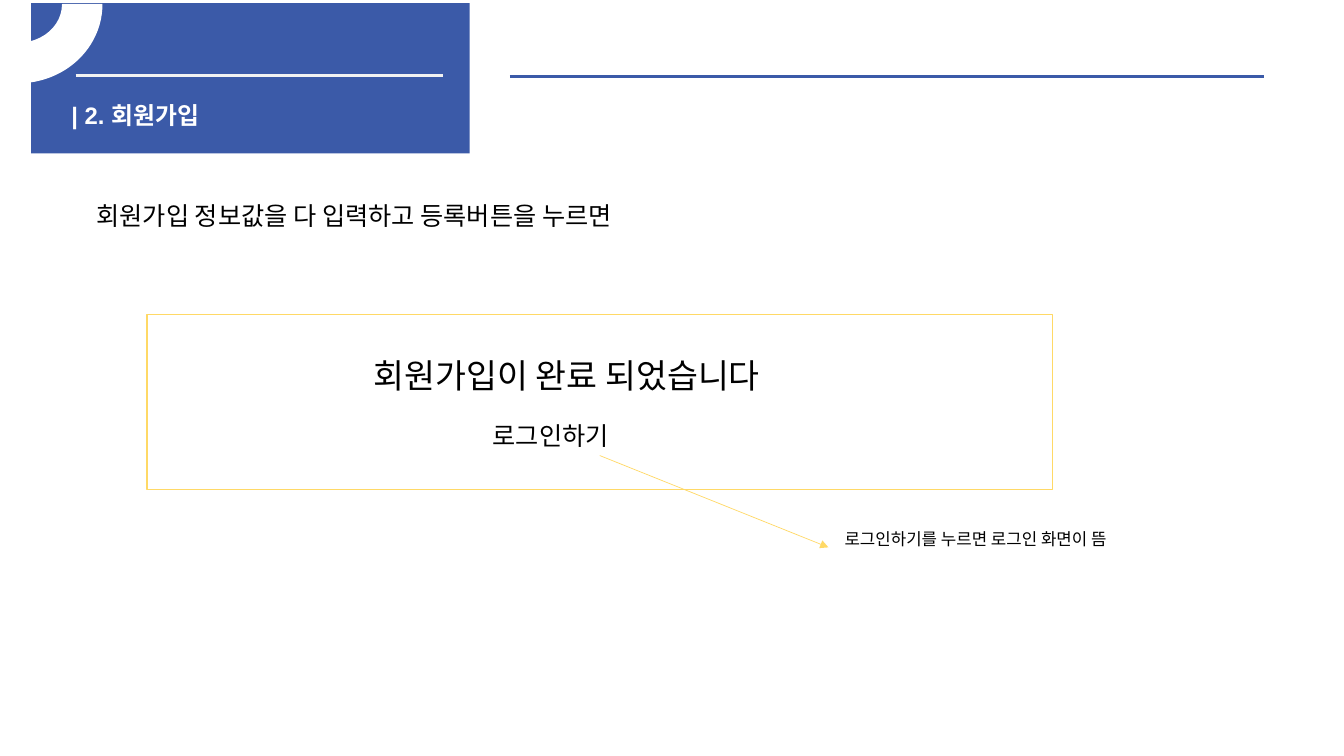
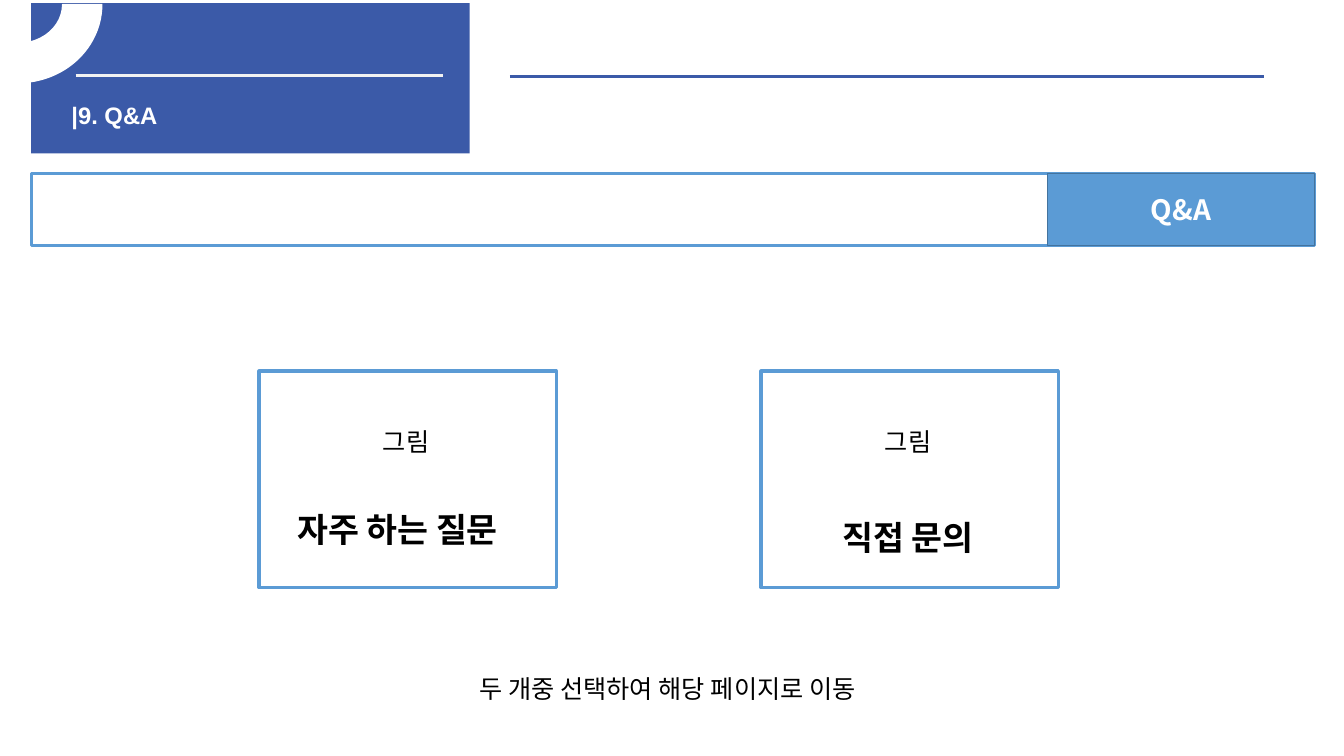
from lxml.etree import SubElement
from pptx import Presentation
from pptx.dml.color import RGBColor
from pptx.enum.shapes import MSO_CONNECTOR, MSO_SHAPE
from pptx.enum.text import MSO_ANCHOR, PP_ALIGN
from pptx.oxml.ns import qn
from pptx.util import Pt

NAVY, SKY, STEEL = "3B5AA8", "5B9BD5", "43739E"
GOLD, PALE, WHITE, BLACK = "FFD966", "F2F2F2", "FFFFFF", "000000"
BODY_FONT, TITLE_FONT = "Noto Sans CJK KR", "Arial"


def color(hex_string):
    return RGBColor.from_string(hex_string)


def write(shape, text, size, ink=BLACK, bold=False, font=BODY_FONT, align=PP_ALIGN.LEFT):
    paragraph = shape.text_frame.paragraphs[0]
    paragraph.text = text
    paragraph.alignment = align
    paragraph.font.name = font
    paragraph.font.size = Pt(size)
    paragraph.font.bold = bold
    paragraph.font.color.rgb = color(ink)
    # Hangul takes its typeface from the East Asian font
    properties = paragraph._p.pPr.find(qn("a:defRPr"))
    SubElement(properties, qn("a:ea")).set("typeface", BODY_FONT)


def add_text(shapes, left, top, width, height, text, size, wrap=True, **style):
    box = shapes.add_textbox(Pt(left), Pt(top), Pt(width), Pt(height))
    box.text_frame.word_wrap = wrap
    write(box, text, size, **style)


def add_box(shapes, left, top, width, height, fill=None, line=None, weight=1,
            kind=MSO_SHAPE.RECTANGLE):
    shape = shapes.add_shape(kind, Pt(left), Pt(top), Pt(width), Pt(height))
    shape.shadow.inherit = False
    if fill:
        shape.fill.solid()
        shape.fill.fore_color.rgb = color(fill)
    else:
        shape.fill.background()
    if line:
        shape.line.color.rgb = color(line)
        shape.line.width = Pt(weight)
    else:
        shape.line.fill.background()
    return shape


def add_line(shapes, start, end, ink, weight, arrow=False):
    line = shapes.add_connector(MSO_CONNECTOR.STRAIGHT, *map(Pt, start + end))
    line.line.color.rgb = color(ink)
    line.line.width = Pt(weight)
    if arrow:
        SubElement(line.line._get_or_add_ln(), qn("a:tailEnd")).set("type", "triangle")
    SubElement(line.element.spPr, qn("a:effectLst"))


def add_header(slide, title, left=22.3, top=2.2):
    shapes = slide.shapes.add_group_shape().shapes
    add_box(shapes, left, top, 313.2, 107.3, fill=NAVY)
    # Rules inside and beside the band
    add_line(shapes, (left + 31.7, top + 51.8), (left + 293.8, top + 51.8), PALE, 2.25)
    add_line(shapes, (left + 342, top + 52.5), (left + 880.6, top + 52.5), NAVY, 2.25)
    add_text(shapes, left + 21.6, top + 66.2, 223, 28, title, 17,
             ink=WHITE, bold=True, font=TITLE_FONT)
    # Corner arc, opening upwards
    arc = add_box(shapes, left - 69.1, top - 54.8, 119.5, 111.6, fill=WHITE, line=WHITE,
                  kind=MSO_SHAPE.BLOCK_ARC)
    arc.adjustments[0] = 161.587 * 0.6
    arc.adjustments[1] = 0
    arc.adjustments[2] = 0.25
    arc.element.spPr.xfrm.set("flipV", "1")


def add_dialog(shapes, left, top, width, height):
    add_box(shapes, left, top, width, height, fill=WHITE, line=GOLD)
    add_text(shapes, left + 154.8, top + 25.2, 480, 36, "회원가입이 완료 되었습니다", 24)
    add_text(shapes, left + 239.8, top + 72, 197.3, 28.8, "로그인하기", 18)
    # Where the login button leads
    add_line(shapes, (left + 323.3, top + 100.8), (left + 486.7, top + 166.4), GOLD, 0.5,
             arrow=True)
    add_text(shapes, left + 491.1, top + 149.8, 338.4, 21.6,
             "로그인하기를 누르면 로그인 화면이 뜸", 12)


def add_search_bar(shapes, left, top, width, height, label, label_width=190.8):
    add_box(shapes, left, top, width, height, line=SKY, weight=2.25)
    button = add_box(shapes, left + width - label_width, top, label_width, height,
                     fill=SKY, line=STEEL)
    button.text_frame.vertical_anchor = MSO_ANCHOR.MIDDLE
    write(button, label, 20, ink=WHITE, bold=True, align=PP_ALIGN.CENTER)


def add_card(shapes, left, top, width, height, caption, indent, drop, caption_width):
    add_box(shapes, left, top, width, height, line=SKY, weight=2.25)
    add_text(shapes, left + 81.4, top + 36, 51.1, 28.8, "그림", 18, wrap=False)
    add_text(shapes, left + indent, top + drop, caption_width, 36, caption, 24,
             wrap=False, bold=True)


def build_signup(slide):
    add_header(slide, "| 2. 회원가입")
    add_dialog(slide.shapes, 105.1, 224.6, 646.6, 125.3)
    add_text(slide.shapes, 61.9, 139.7, 676, 28.8,
             "회원가입 정보값을 다 입력하고 등록버튼을 누르면", 18)


def build_questions(slide):
    add_header(slide, "|9. Q&A")
    add_search_bar(slide.shapes, 22.3, 123.8, 916.6, 51.8, "Q&A")
    cards = [("자주 하는 질문", 20.2, 95, 177.1), ("직접 문의", 51.1, 100.8, 120.2)]
    for index, card in enumerate(cards):
        add_card(slide.shapes, 185 + index * 358.6, 265, 212.4, 154.8, *card)
    add_text(slide.shapes, 335.5, 477.4, 319.7, 28.8,
             "두 개중 선택하여 해당 페이지로 이동", 18, wrap=False)


def main():
    presentation = Presentation()
    presentation.slide_width, presentation.slide_height = Pt(960), Pt(540)
    for build in (build_signup, build_questions):
        build(presentation.slides.add_slide(presentation.slide_layouts[6]))
    presentation.save("out.pptx")


if __name__ == "__main__":
    main()
